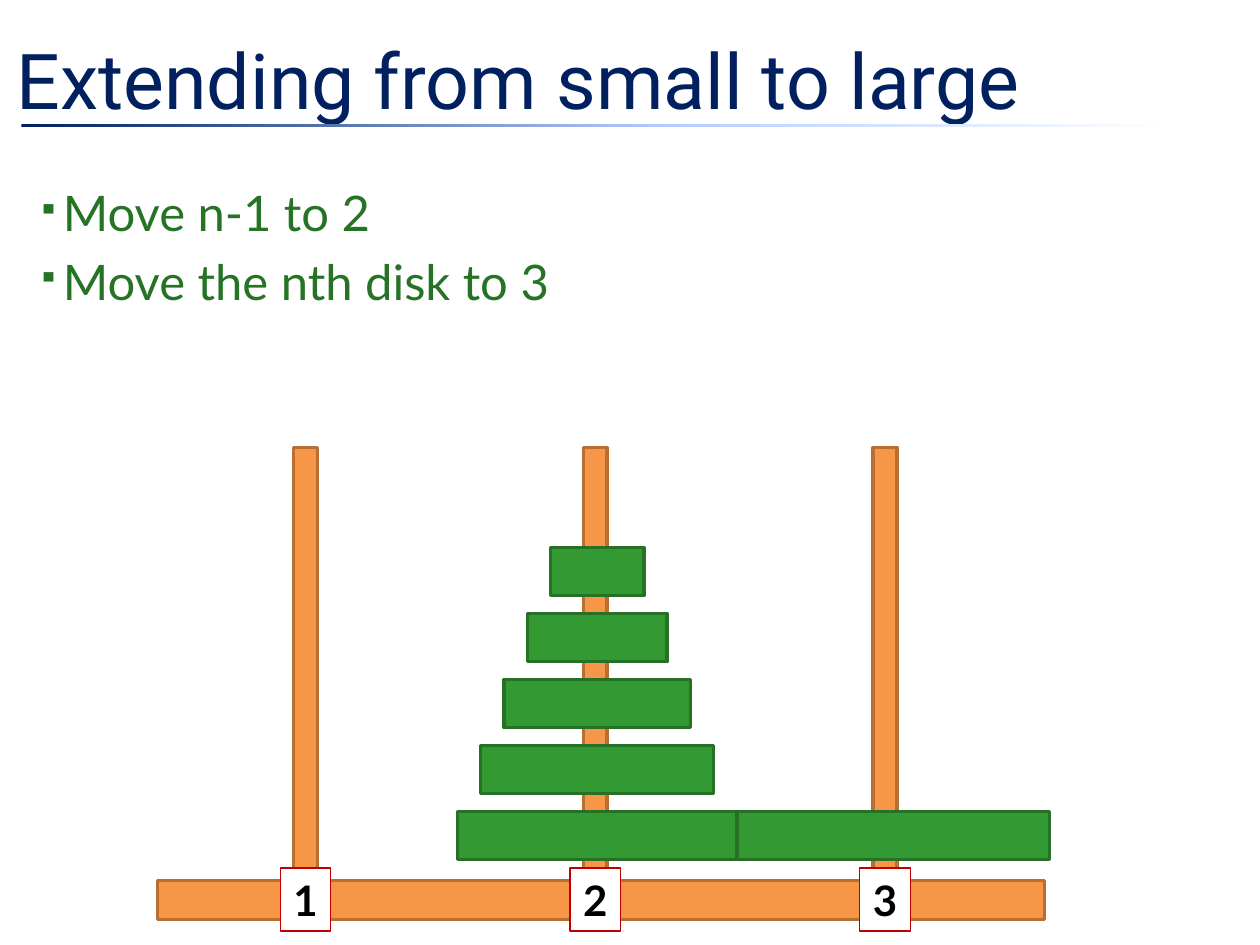
from lxml.etree import SubElement as Sub
from pptx import Presentation
from pptx.dml.color import RGBColor as Rgb
from pptx.enum.shapes import MSO_SHAPE as Kind
from pptx.enum.text import MSO_ANCHOR as Anchor, MSO_AUTO_SIZE as Fit, PP_ALIGN as Align
from pptx.oxml.ns import qn
from pptx.util import Cm, Pt

NAVY, GREEN, ORANGE, WHITE = "002060", "339933", "F79646", "FFFFFF"
PEGS = [6.16 + 5.84 * i for i in range(3)]
STEPS = ["Move n-1 to 2", "Move the nth disk to 3"]


def tint(color, code):
    color.rgb = Rgb.from_string(code)


def style(para, font, size, code, bold=False):
    para.font.name = font
    para.font.size = Pt(size)
    para.font.bold = bold
    tint(para.font.color, code)


def add_bar(slide, x, y, w, h, fill, edge, width=2):
    bar = slide.shapes.add_shape(Kind.RECTANGLE, Cm(x), Cm(y), Cm(w), Cm(h))
    bar.shadow.inherit = False
    bar.fill.solid()
    tint(bar.fill.fore_color, fill)
    tint(bar.line.color, edge)
    bar.line.width = Pt(width)
    return bar


def add_rule(slide):
    rule = add_bar(slide, 0.43, 2.51, 24.97, 0.05, NAVY, NAVY)
    rule.line.fill.background()
    rule.fill.gradient()
    rule.fill.gradient_angle = 0
    stops = rule._element.spPr.find(".//" + qn("a:gsLst"))
    stops.clear()
    for pos, code in [(0, NAVY), (52, "B4CDFF"), (93, WHITE)]:
        stop = Sub(stops, qn("a:gs"), pos=str(pos * 1000))
        Sub(stop, qn("a:srgbClr"), val=code)


def set_title(slide, text):
    title = slide.shapes.title
    title.left, title.top, title.width, title.height = Cm(0.08), Cm(0), Cm(24.13), Cm(3.18)
    frame = title.text_frame
    frame.text = text
    frame.vertical_anchor = Anchor.MIDDLE
    para = frame.paragraphs[0]
    para.alignment = Align.LEFT
    style(para, "Roboto", 44, NAVY)


def add_list(slide, items):
    frame = slide.shapes.add_textbox(Cm(0), Cm(3.56), Cm(24.97), Cm(13.2)).text_frame
    frame.word_wrap = True
    for i, item in enumerate(items):
        para = frame.add_paragraph() if i else frame.paragraphs[0]
        para.text = item
        para.space_before = Pt(5.6)
        style(para, "Lato", 28, "267326")
        props = para._p.get_or_add_pPr()
        props.set("marL", str(Cm(1.02)))
        props.set("indent", str(Cm(-0.51)))
        Sub(props, qn("a:buSzPct"), val="60000")
        Sub(props, qn("a:buChar"), char="▪")
        props.append(props.find(qn("a:defRPr")))


def add_wood(slide, x, y, w, h):
    add_bar(slide, x, y, w, h, ORANGE, "B76F34")


def add_disk(slide, mid, y, w):
    add_bar(slide, mid - w / 2, y, w, 0.97, GREEN, "267126")


def add_label(slide, mid, text):
    label = add_bar(slide, mid - 0.51, 17.5, 1.02, 1.27, WHITE, "C00000", 0.75)
    frame = label.text_frame
    frame.word_wrap = False
    frame.auto_size = Fit.SHAPE_TO_FIT_TEXT
    frame.text = text
    para = frame.paragraphs[0]
    para.alignment = Align.CENTER
    style(para, "Lato", 24, "000000", True)


def main():
    deck = Presentation()
    deck.slide_width, deck.slide_height = Cm(25.4), Cm(19.05)
    slide = deck.slides.add_slide(deck.slide_layouts[5])
    add_rule(slide)
    set_title(slide, "Extending from small to large")
    add_list(slide, STEPS)
    for mid in PEGS:
        add_wood(slide, mid - 0.24, 9.02, 0.48, 9.32)
    add_disk(slide, 17.87, 16.36, 6.58)
    for i in range(5):
        add_disk(slide, 12.04, 16.36 - 1.33 * i, 0.94 * (6 - i))
    add_wood(slide, 3.18, 17.75, 17.88, 0.79)
    for i, mid in enumerate(PEGS, 1):
        add_label(slide, mid, str(i))
    deck.save("out.pptx")


if __name__ == "__main__":
    main()
